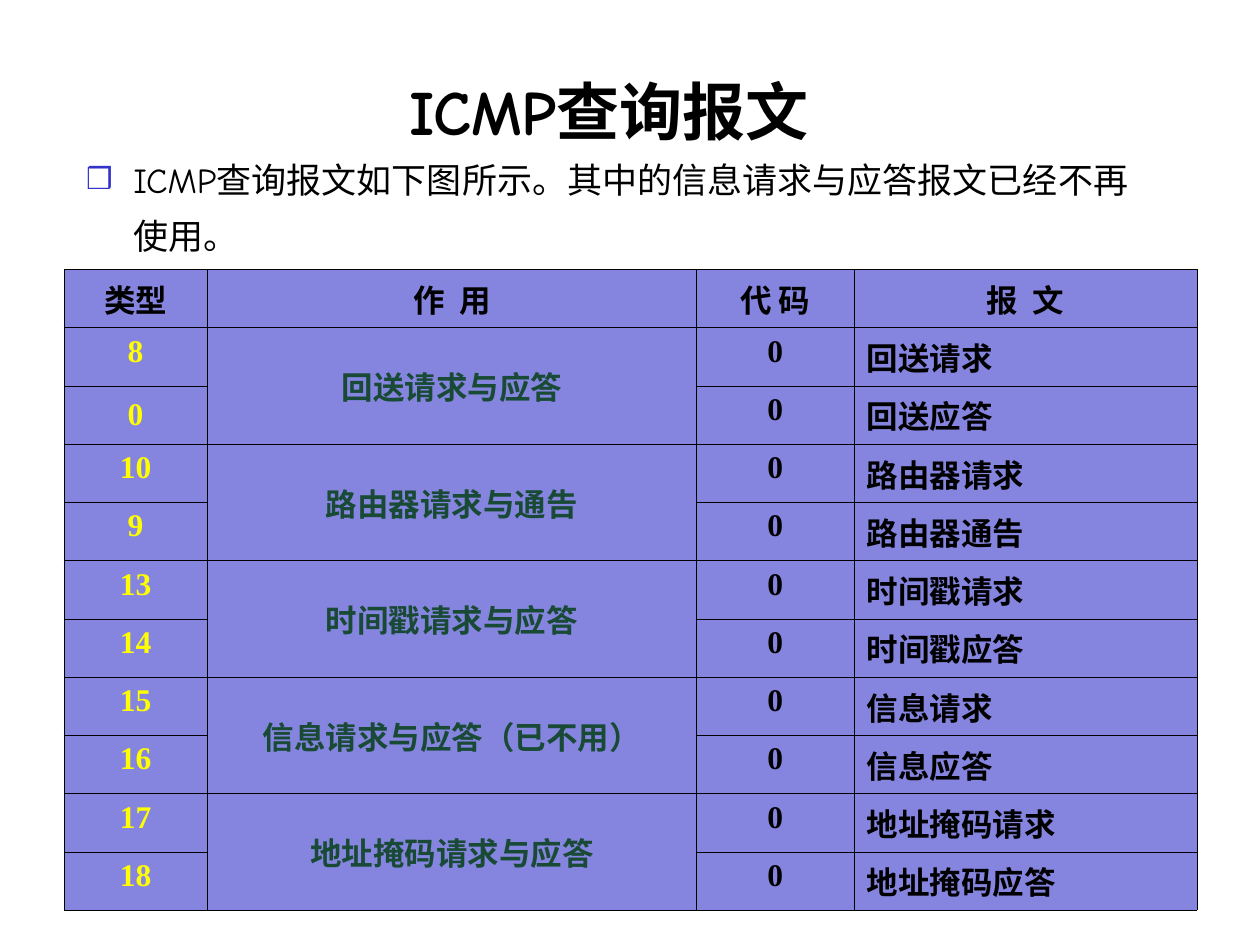
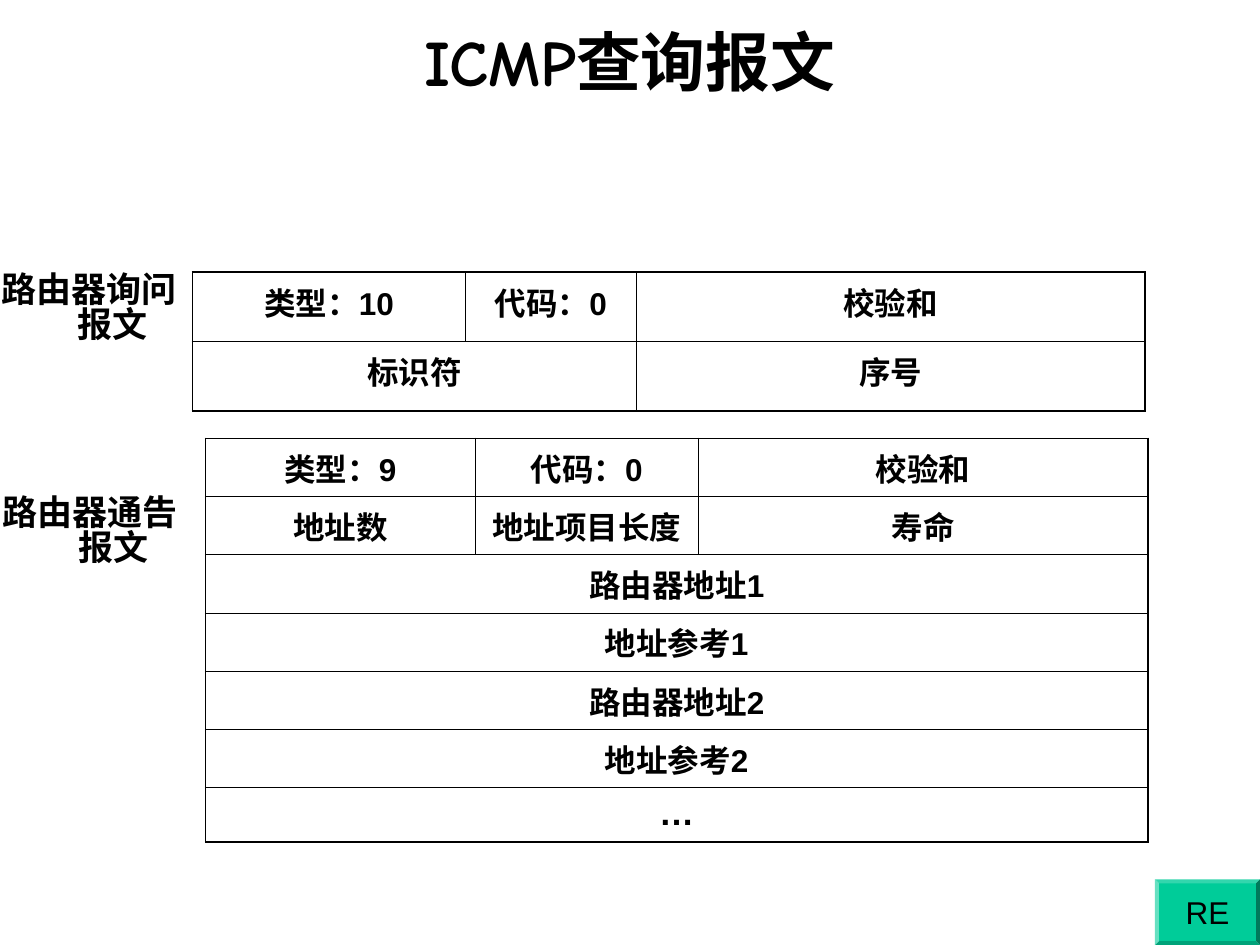
"""Build two slides on ICMP query messages."""
from lxml.etree import SubElement
from pptx import Presentation
from pptx.dml.color import RGBColor as RGB
from pptx.enum.shapes import MSO_SHAPE as SHAPE
from pptx.enum.text import MSO_ANCHOR as ANCHOR, MSO_AUTO_SIZE as FIT, PP_ALIGN as ALIGN
from pptx.oxml.ns import qn
from pptx.util import Pt

BLACK = RGB(0, 0, 0)
LILAC = RGB(0x85, 0x85, 0xE0)
YELLOW = RGB(0xFF, 0xFF, 0)
GREEN = RGB(0x19, 0x4A, 0x35)
BLUE = RGB(0x33, 0x33, 0xCC)
MINT = RGB(0, 0xCC, 0x99)
COMIC, TIMES, ARIAL = "Comic Neue", "Times New Roman", "Arial"
HANG = Pt(27)
THIN, THICK = Pt(0.45), Pt(1.08)


def write(para, text, face, size, color=BLACK, bold=True, align=ALIGN.CENTER):
    """Add one formatted run to a paragraph."""
    para.alignment = align
    para.space_before = Pt(0)
    run = para.add_run()
    run.text = text
    font = run.font
    font.name, font.size, font.bold = face, Pt(size), bold
    font.color.rgb = color


def grid(slide, left, top, widths, heights, joins, rim):
    """Add a ruled table with joined cells and a rim of the given width."""
    rows, cols = len(heights), len(widths)
    frame = slide.shapes.add_table(rows, cols, Pt(left), Pt(top),
                                   Pt(sum(widths)), Pt(sum(heights)))
    table = frame.table
    table.first_row = table.horz_banding = False
    for col, width in zip(table.columns, widths):
        col.width = Pt(width)
    for row, height in zip(table.rows, heights):
        row.height = Pt(height)
    for r1, c1, r2, c2 in joins:
        table.cell(r1, c1).merge(table.cell(r2, c2))
    for r in range(rows):
        for c in range(cols):
            cell = table.cell(r, c)
            wide = cell.span_width if cell.is_merge_origin else 1
            high = cell.span_height if cell.is_merge_origin else 1
            outer = {"L": c == 0, "R": c + wide == cols,
                     "T": r == 0, "B": r + high == rows}
            props = cell._tc.get_or_add_tcPr()
            for side, edge in outer.items():
                line = SubElement(props, qn(f"a:ln{side}"), w=str(rim if edge else THIN))
                fill = SubElement(line, qn("a:solidFill"))
                SubElement(fill, qn("a:srgbClr"), val=str(BLACK))
            cell.fill.background()
    return table


deck = Presentation()
deck.slide_width, deck.slide_height = Pt(720), Pt(540)
query = deck.slides.add_slide(deck.slide_layouts[1])
router = deck.slides.add_slide(deck.slide_layouts[5])

heads = [(query, 42, 18, 612, 90, 36), (router, 36, 9.5, 648, 50, 37)]
for slide, left, top, width, height, size in heads:
    title = slide.shapes.title
    title.left, title.top, title.width, title.height = Pt(left), Pt(top), Pt(width), Pt(height)
    title.text_frame.auto_size = FIT.NONE
    title.text_frame.vertical_anchor = ANCHOR.MIDDLE
    write(title.text_frame.paragraphs[0], "ICMP查询报文", COMIC, size)

body = query.placeholders[1]
body.left, body.top, body.width, body.height = Pt(42), Pt(87), Pt(612), Pt(366)
body.text_frame.auto_size = FIT.NONE
para = body.text_frame.paragraphs[0]
para.space_before = Pt(0)
props = para._p.get_or_add_pPr()
props.set("marL", str(HANG))
props.set("indent", str(-HANG))
tint = SubElement(props, qn("a:buClr"))
SubElement(tint, qn("a:srgbClr"), val=str(BLUE))
SubElement(props, qn("a:buSzPct"), val="85000")
SubElement(props, qn("a:buChar"), char="❒")
note = "ICMP查询报文如下图所示。其中的信息请求与应答报文已经不再使用。"
write(para, note, COMIC, 20, bold=False, align=ALIGN.LEFT)
write(para, " ", COMIC, 28, bold=False, align=ALIGN.LEFT)

pairs = [
    ("回送请求与应答", "8", "回送请求", "0", "回送应答"),
    ("路由器请求与通告", "10", "路由器请求", "9", "路由器通告"),
    ("时间戳请求与应答", "13", "时间戳请求", "14", "时间戳应答"),
    ("信息请求与应答（已不用）", "15", "信息请求", "16", "信息应答"),
    ("地址掩码请求与应答", "17", "地址掩码请求", "18", "地址掩码应答"),
]
joins = [(r, 1, r + 1, 1) for r in range(1, 11, 2)]
types = grid(query, 36.5, 154, [82, 279.5, 90, 196], [33.3] * 11, joins, THIN)
lines = [("类型", "作  用", "代 码", "报  文")]
for use, ask, asked, reply, replied in pairs:
    lines += [(ask, use, "0", asked), (reply, None, "0", replied)]
for r, line in enumerate(lines):
    for c, text in enumerate(line):
        cell = types.cell(r, c)
        cell.fill.solid()
        cell.fill.fore_color.rgb = LILAC
        if text is None:
            continue
        if r == 0 or c == 1 or (r, c) == (2, 0):
            cell.vertical_anchor = ANCHOR.MIDDLE
        color = BLACK if r == 0 else (YELLOW, GREEN, BLACK, BLACK)[c]
        align = ALIGN.LEFT if r and c == 3 else ALIGN.CENTER
        write(cell.text_frame.paragraphs[0], text, TIMES, 18, color, align=align)

asks = [("类型：10", "代码：0", "校验和"), ("标识符", None, "序号")]
tells = [("类型：9", "代码：0", "校验和"), ("地址数", "地址项目长度", "寿命")]
tells += [(text, None, None)
          for text in ("路由器地址1", "地址参考1", "路由器地址2", "地址参考2", "…")]
ask = grid(router, 110, 155.5, [156, 97.5, 291], [39.6] * 2, [(1, 0, 1, 1)], THICK)
tell = grid(router, 117.5, 250.5, [154, 127.5, 257], [33.2] * 6 + [31],
            [(r, 0, r, 2) for r in range(2, 7)], THICK)
for table, lines in ((ask, asks), (tell, tells)):
    for r, line in enumerate(lines):
        for c, text in enumerate(line):
            if text:
                para = table.cell(r, c).text_frame.paragraphs[0]
                write(para, text, ARIAL, 20 if text == "…" else 18)

for text, top, width in (("路由器询问报文", 157, 101.5), ("路由器通告报文", 284.5, 103)):
    label = router.shapes.add_textbox(0, Pt(top), Pt(width), Pt(72))
    frame = label.text_frame
    frame.word_wrap = True
    frame.margin_left = frame.margin_right = frame.margin_top = frame.margin_bottom = 0
    para = frame.paragraphs[0]
    para.line_spacing = 0.83
    props = para._p.get_or_add_pPr()
    props.set("marL", str(HANG))
    props.set("indent", str(-HANG))
    write(para, text, ARIAL, 20)

key = router.shapes.add_shape(SHAPE.BEVEL, Pt(660), Pt(502.5), Pt(60), Pt(37.5))
key.shadow.inherit = False
key.adjustments[0] = 0.06
key.fill.solid()
key.fill.fore_color.rgb = MINT
key.line.fill.background()
key.text_frame.word_wrap = False
key.text_frame.vertical_anchor = ANCHOR.MIDDLE
write(key.text_frame.paragraphs[0], "RE", ARIAL, 18, bold=False)

deck.save("out.pptx")
